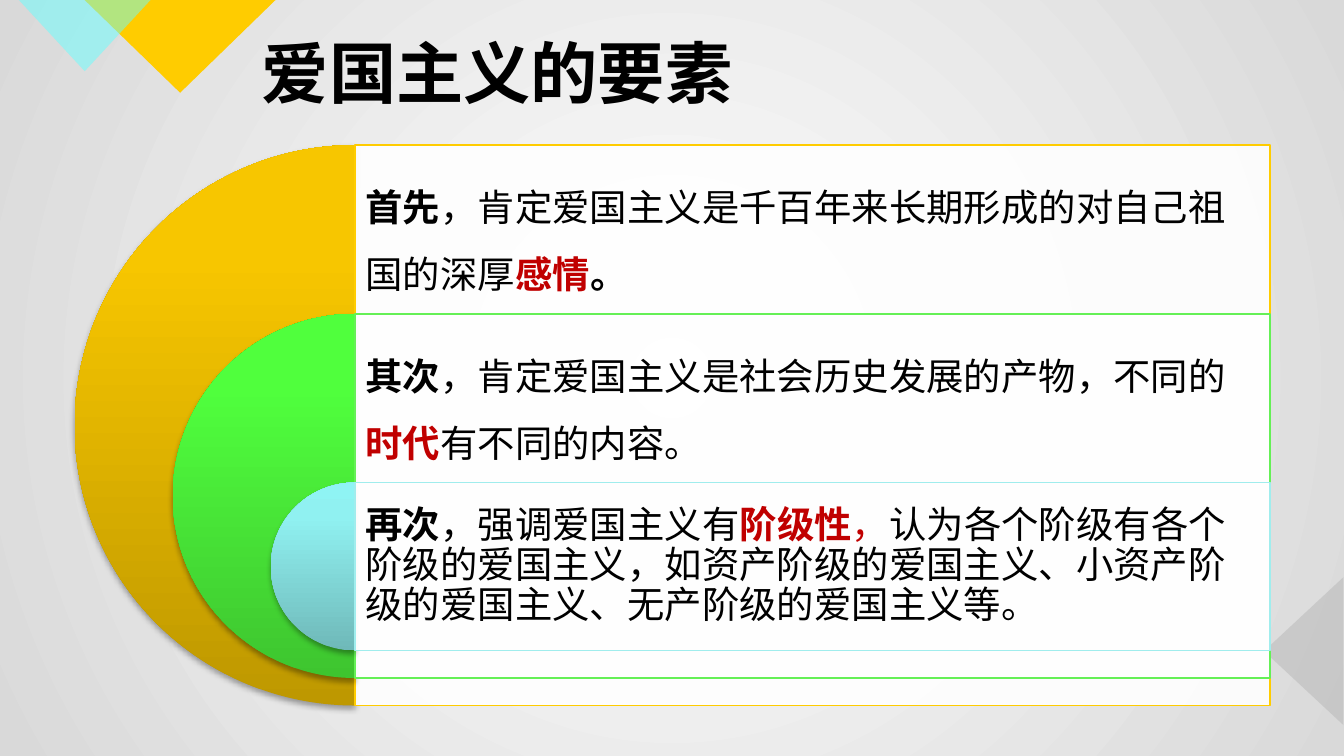
from lxml import etree
from pptx import Presentation
from pptx.dml.color import RGBColor
from pptx.enum.shapes import MSO_SHAPE
from pptx.enum.text import MSO_ANCHOR
from pptx.oxml.ns import qn
from pptx.util import Inches, Pt

TRIANGLE = MSO_SHAPE.ISOSCELES_TRIANGLE
RECTANGLE = MSO_SHAPE.RECTANGLE
PIE = MSO_SHAPE.PIE
MIDDLE = MSO_ANCHOR.MIDDLE

BLACK = RGBColor(0x00, 0x00, 0x00)
WHITE = RGBColor(0xFF, 0xFF, 0xFF)
SILVER = RGBColor(0xD9, 0xD9, 0xD9)
GRAY = RGBColor(0xB7, 0xB7, 0xB7)
RED = RGBColor(0xC0, 0x00, 0x00)
YELLOW = RGBColor(0xFF, 0xCC, 0x00)
AQUA = RGBColor(0x66, 0xFF, 0xFF)
GREEN_LINE = RGBColor(0x65, 0xF0, 0x56)
AQUA_LINE = RGBColor(0xA0, 0xED, 0xED)
GOLD_SHADES = (RGBColor(0xBE, 0x98, 0x00), RGBColor(0xF7, 0xC6, 0x00), RGBColor(0xF8, 0xC7, 0x00))
GREEN_SHADES = (RGBColor(0x3E, 0xC5, 0x2F), RGBColor(0x50, 0xFF, 0x3D), RGBColor(0x52, 0xFF, 0x3E))
AQUA_SHADES = (RGBColor(0x6F, 0xB9, 0xB9), RGBColor(0x90, 0xF1, 0xF1), RGBColor(0x8F, 0xF4, 0xF4))

BODY_FONT = "Cabin"
TITLE_FONT = "Noto Sans CJK SC"


def add_child(parent, tag, **attributes):
    child = etree.SubElement(parent, qn(tag))
    for name, value in attributes.items():
        child.set(name, str(value))
    return child


def add_color(parent, color, alpha=100):
    node = add_child(parent, "a:srgbClr", val=color)
    if alpha < 100:
        add_child(node, "a:alpha", val=alpha * 1000)


def set_gradient(owner, fill, stops, angle=None):
    fill.solid()
    solid = next(owner.iter(qn("a:solidFill")))
    gradient = etree.Element(qn("a:gradFill"), rotWithShape="1")
    stop_list = add_child(gradient, "a:gsLst")
    for position, color in stops:
        add_color(add_child(stop_list, "a:gs", pos=position * 1000), color)
    if angle is None:
        circle = add_child(gradient, "a:path", path="circle")
        add_child(circle, "a:fillToRect", l=50000, t=50000, r=50000, b=50000)
    else:
        add_child(gradient, "a:lin", ang=angle * 60000, scaled=0)
    solid.getparent().replace(solid, gradient)


def add_span(para, text, size=20, font=BODY_FONT, color=BLACK, bold=False):
    span = para.add_run()
    span.text = text
    span.font.size = Pt(size)
    span.font.bold = bold
    span.font.color.rgb = color
    span.font.name = font
    add_child(span.font._element, "a:ea", typeface=font)


class SlideBuilder:
    def __init__(self, page):
        self.page = page

    def background(self, stops):
        set_gradient(self.page.element, self.page.background.fill, stops)

    def shape(self, kind, left, top, width, height):
        shape = self.page.shapes.add_shape(
            kind, Inches(left), Inches(top), Inches(width), Inches(height))
        shape.shadow.inherit = False
        shape.line.fill.background()
        return shape

    def solid(self, kind, left, top, width, height, color, alpha=100, rotation=0):
        shape = self.shape(kind, left, top, width, height)
        shape.rotation = rotation
        shape.fill.solid()
        shape.fill.fore_color.rgb = color
        if alpha < 100:
            node = next(shape.element.spPr.iter(qn("a:srgbClr")))
            add_child(node, "a:alpha", val=alpha * 1000)
        return shape

    def panel(self, left, top, width, height, line_color):
        panel = self.solid(RECTANGLE, left, top, width, height, WHITE, alpha=90)
        panel.line.color.rgb = line_color
        panel.line.width = Pt(0.75)

    def half_disc(self, center, top, diameter, shades):
        disc = self.shape(PIE, center - diameter / 2, top, diameter, diameter)
        disc.adjustments[0] = 54
        disc.adjustments[1] = 162
        set_gradient(disc.element.spPr, disc.fill, zip((0, 80, 100), shades), angle=270)
        effects = disc.element.spPr.find(qn("a:effectLst"))
        shadow = add_child(effects, "a:outerShdw", blurRad=Pt(3.1), dist=Pt(1.8),
                           dir=90 * 60000, rotWithShape=0)
        add_color(shadow, BLACK, alpha=35)

    def text(self, left, top, width, height, spans, inset=0.08, spacing=1.0):
        box = self.page.shapes.add_textbox(
            Inches(left), Inches(top), Inches(width), Inches(height))
        frame = box.text_frame
        frame.word_wrap = True
        frame.vertical_anchor = MIDDLE
        frame.margin_left = frame.margin_right = Inches(inset)
        frame.margin_top = frame.margin_bottom = Inches(0.08)
        para = frame.paragraphs[0]
        para.line_spacing = spacing
        for text, style in spans:
            add_span(para, text, **style)


PLAIN = {}
BOLD = {"bold": True}
KEY = {"bold": True, "color": RED}

ELEMENTS = [
    (GOLD_SHADES, YELLOW, 1.5, [
        ("首先", BOLD), ("，肯定爱国主义是千百年来长期形成的对自己祖国的深厚", PLAIN),
        ("感情", KEY), ("。", BOLD)]),
    (GREEN_SHADES, GREEN_LINE, 1.5, [
        ("其次", BOLD), ("，肯定爱国主义是社会历史发展的产物，不同的", PLAIN),
        ("时代", KEY), ("有不同的内容。", PLAIN)]),
    (AQUA_SHADES, AQUA_LINE, 0.9, [
        ("再次", BOLD), ("，强调爱国主义有", PLAIN), ("阶级性", KEY), ("，", {"color": RED}),
        ("认为各个阶级有各个阶级的爱国主义，如资产阶级的爱国主义、"
         "小资产阶级的爱国主义、无产阶级的爱国主义等。", PLAIN)]),
]

PANEL_LEFT, PANEL_TOP, PANEL_WIDTH = 2.64, 1.08, 6.81
LARGEST, SHRINK = 4.17, 1.46
ROW_HEIGHT = LARGEST - 2 * SHRINK
ROW_STEP = (3.59 - PANEL_TOP) / 2


def main():
    deck = Presentation()
    deck.slide_width = Inches(10)
    deck.slide_height = Inches(10 * 9 / 16)
    builder = SlideBuilder(deck.slides.add_slide(deck.slide_layouts[6]))
    builder.background([(0, WHITE), (100, SILVER)])

    builder.solid(TRIANGLE, 0.63, 0, 1.42, 0.69, YELLOW, rotation=180)
    builder.solid(TRIANGLE, 0.14, 0, 0.98, 0.53, AQUA, alpha=50, rotation=180)
    builder.solid(TRIANGLE, 9.15, 4.55, 1.1, 0.59, GRAY, alpha=50, rotation=270)

    title_style = {"size": 36, "font": TITLE_FONT, "bold": True}
    builder.text(1.85, 0.27, 7.19, 0.53, [("爱国主义的要素", title_style)], inset=0.1)

    for index, (shades, line_color, spacing, spans) in enumerate(ELEMENTS):
        top = PANEL_TOP + index * ROW_STEP
        size = LARGEST - index * SHRINK
        builder.half_disc(PANEL_LEFT, top, size, shades)
        builder.panel(PANEL_LEFT, top, PANEL_WIDTH, size, line_color)
        builder.text(PANEL_LEFT, top, PANEL_WIDTH, ROW_HEIGHT, spans, spacing=spacing)

    deck.save("out.pptx")


if __name__ == "__main__":
    main()
